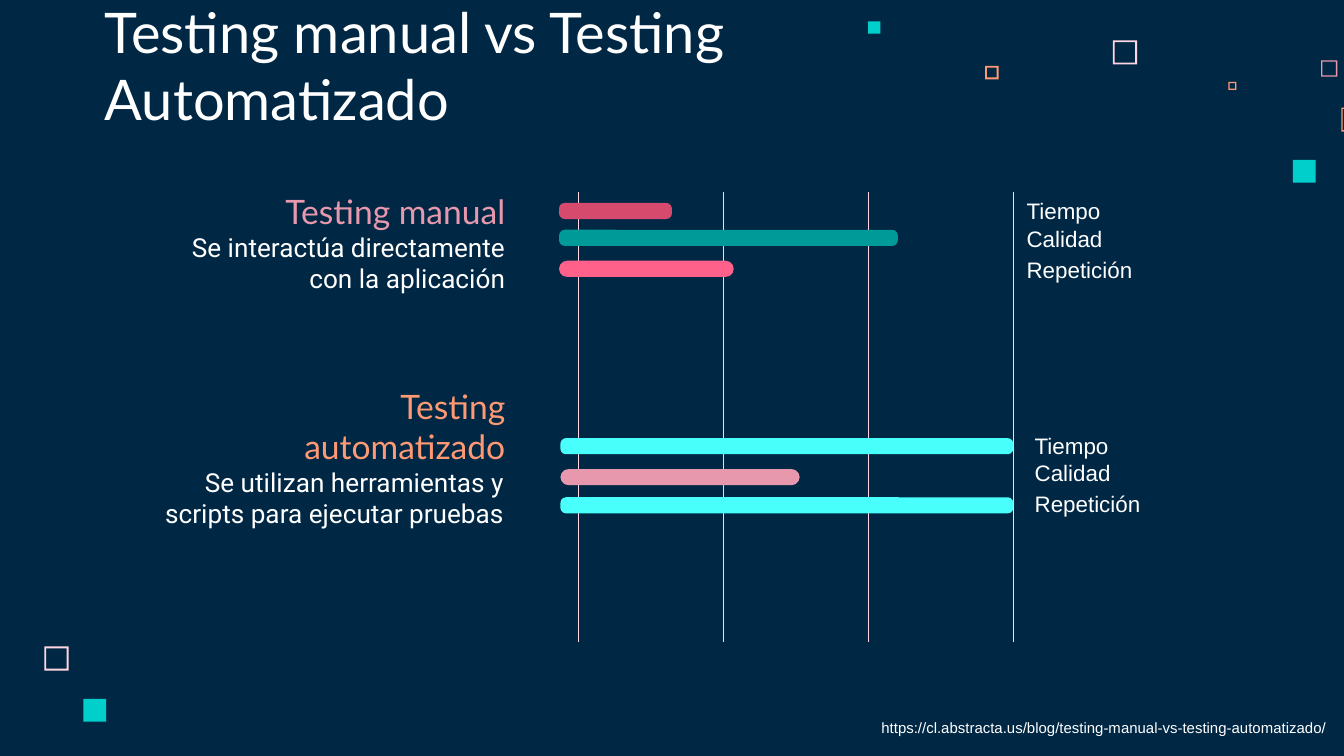
from typing import NamedTuple

from lxml.etree import SubElement
from pptx import Presentation
from pptx.dml.color import RGBColor
from pptx.enum.shapes import MSO_CONNECTOR, MSO_SHAPE as Shape
from pptx.enum.text import MSO_ANCHOR as Anchor, MSO_AUTO_SIZE as AutoSize, PP_ALIGN as Align
from pptx.oxml.ns import qn
from pptx.util import Inches, Pt

WHITE, PINK, ROSE, ORANGE = "FFFFFF", "FFD6E1", "E898AC", "FF9973"
TEAL, CYAN = "00CFCC", "49FFFC"
LABELS = "Tiempo", "Calidad", "Repetición"
BAR_HEIGHT = 0.12
FIRST_LINE, LAST_LINE = 4.3, 7.54


class Square(NamedTuple):
    left: float
    top: float
    size: float
    color: str
    edge: float = 0


class Style(NamedTuple):
    size: float
    font: str
    color: str
    align: Align = Align.LEFT
    anchor: Anchor = Anchor.TOP
    inset: float = 0.1
    after: float = 0


class Bar(NamedTuple):
    top: float
    width: float
    color: str
    cap: float


class Method(NamedTuple):
    heading: str
    heading_box: tuple
    color: str
    detail: str
    detail_box: tuple
    bar_left: float
    bars: tuple
    label_left: float
    label_tops: tuple


SQUARES = (
    Square(8.28, 0.3, 0.18, PINK, 0.08),
    Square(9.83, 0.45, 0.12, ROSE, 0.08),
    Square(9.14, 0.61, 0.06, ORANGE, 0.17),
    Square(9.98, 0.8, 0.18, ORANGE, 0.06),
    Square(9.62, 1.19, 0.17, TEAL),
    Square(7.33, 0.49, 0.1, ORANGE, 0.13),
    Square(6.46, 0.16, 0.09, TEAL),
    Square(0.33, 4.81, 0.18, PINK, 0.08),
    Square(0.62, 5.2, 0.17, TEAL),
)
METHODS = (
    Method("Testing manual", (1.8, 1.39, 2.06, 0.43), ROSE,
           "Se interactúa directamente con la aplicación", (1.25, 1.62, 2.61, 0.71),
           4.16, (Bar(1.51, 0.84, "D64A6D", 0.35), Bar(1.71, 2.52, "009B99", 0.35),
                  Bar(1.94, 1.3, "FF618B", 0.5)),
           7.54, (1.42, 1.63, 1.86)),
    Method("Testing automatizado", (1.41, 3.14, 2.45, 0.43), ORANGE,
           "Se utilizan herramientas y scripts para ejecutar pruebas", (1.05, 3.37, 2.8, 0.71),
           4.17, (Bar(3.26, 3.37, CYAN, 0.35), Bar(3.49, 1.78, ROSE, 0.5),
                  Bar(3.7, 3.37, CYAN, 0.35)),
           7.6, (3.17, 3.37, 3.6)),
)


def rgb(color: str) -> RGBColor:
    """Turn a hex string into a colour."""
    return RGBColor.from_string(color)


def write(sp, box: tuple, text: str, style: Style) -> None:
    """Place a text shape and fill it with one formatted paragraph."""
    left, top, width, height = map(Inches, box)
    tf = sp.text_frame
    p = tf.paragraphs[0]
    r = p.add_run()
    formats = (
        (sp, dict(left=left, top=top, width=width, height=height)),
        (tf, dict(word_wrap=True, auto_size=AutoSize.NONE, vertical_anchor=style.anchor,
                  margin_left=Inches(0.1), margin_right=Inches(0.1),
                  margin_top=Inches(style.inset), margin_bottom=Inches(style.inset))),
        (p, dict(alignment=style.align, space_before=Pt(0), space_after=Pt(style.after))),
        (r, dict(text=text)),
        (r.font, dict(size=Pt(style.size), name=style.font, bold=False)),
    )
    for target, values in formats:
        for name, value in values.items():
            setattr(target, name, value)
    r.font.color.rgb = rgb(style.color)
    pPr = p._p.get_or_add_pPr()
    pPr.set("marL", "0")
    pPr.set("indent", "0")
    SubElement(pPr, qn("a:buNone"))


def add_text(s, box: tuple, text: str, style: Style) -> None:
    """Add a text box."""
    write(s.shapes.add_textbox(*map(Inches, box)), box, text, style)


def add_filled(s, kind: Shape, box: tuple, color: str, adjust: float = 0) -> None:
    """Add a plain filled shape with an optional adjustment."""
    sp = s.shapes.add_shape(kind, *map(Inches, box))
    sp.shadow.inherit = False
    sp.fill.solid()
    sp.fill.fore_color.rgb = rgb(color)
    sp.line.fill.background()
    if adjust:
        sp.adjustments[0] = adjust


def add_square(s, square: Square) -> None:
    """Add a decorative square, hollow when it has an edge."""
    kind = Shape.FRAME if square.edge else Shape.RECTANGLE
    box = square.left, square.top, square.size, square.size
    add_filled(s, kind, box, square.color, square.edge)


def add_grid_line(s, x: float) -> None:
    """Add a thin vertical line."""
    line = s.shapes.add_connector(
        MSO_CONNECTOR.STRAIGHT, *map(Inches, (x, 1.43, x, 4.78)))
    line.line.color.rgb = rgb(PINK)
    line.line.width = Pt(0.25)
    SubElement(line._element.spPr, qn("a:effectLst"))


def add_method(s, method: Method, heading, detail) -> None:
    """Add the texts, bars and labels of one testing method."""
    write(heading, method.heading_box, method.heading,
          Style(18, "Lato", method.color, Align.RIGHT, Anchor.BOTTOM))
    write(detail, method.detail_box, method.detail,
          Style(14, "Roboto", WHITE, Align.RIGHT, after=16))
    for bar, label, top in zip(method.bars, LABELS, method.label_tops):
        add_filled(s, Shape.ROUNDED_RECTANGLE,
                   (method.bar_left, bar.top, bar.width, BAR_HEIGHT), bar.color, bar.cap)
        add_text(s, (method.label_left, top, 1.08, 0.3), label,
                 Style(12, "Arial", WHITE, inset=0.05))


def main() -> None:
    """Build the slide and save it."""
    prs = Presentation()
    prs.slide_width, prs.slide_height = Inches(10), Inches(10) * 9 // 16
    s = prs.slides.add_slide(prs.slide_layouts.get_by_name("Comparison"))
    s.background.fill.solid()
    s.background.fill.fore_color.rgb = rgb("002845")
    title, *texts = s.placeholders
    write(title, (0.68, 0.45, 7.12, 0.63), "Testing manual vs Testing Automatizado",
          Style(30, "Lato", WHITE, anchor=Anchor.BOTTOM))
    for square in SQUARES:
        add_square(s, square)
    for i in range(4):
        add_grid_line(s, FIRST_LINE + i * (LAST_LINE - FIRST_LINE) / 3)
    for method, heading, detail in zip(METHODS, texts[::2], texts[1::2]):
        add_method(s, method, heading, detail)
    add_text(s, (6.46, 5.3, 3.63, 0.24),
             "https://cl.abstracta.us/blog/testing-manual-vs-testing-automatizado/",
             Style(8, "Arial", WHITE, inset=0.05))
    prs.save("out.pptx")


if __name__ == "__main__":
    main()
